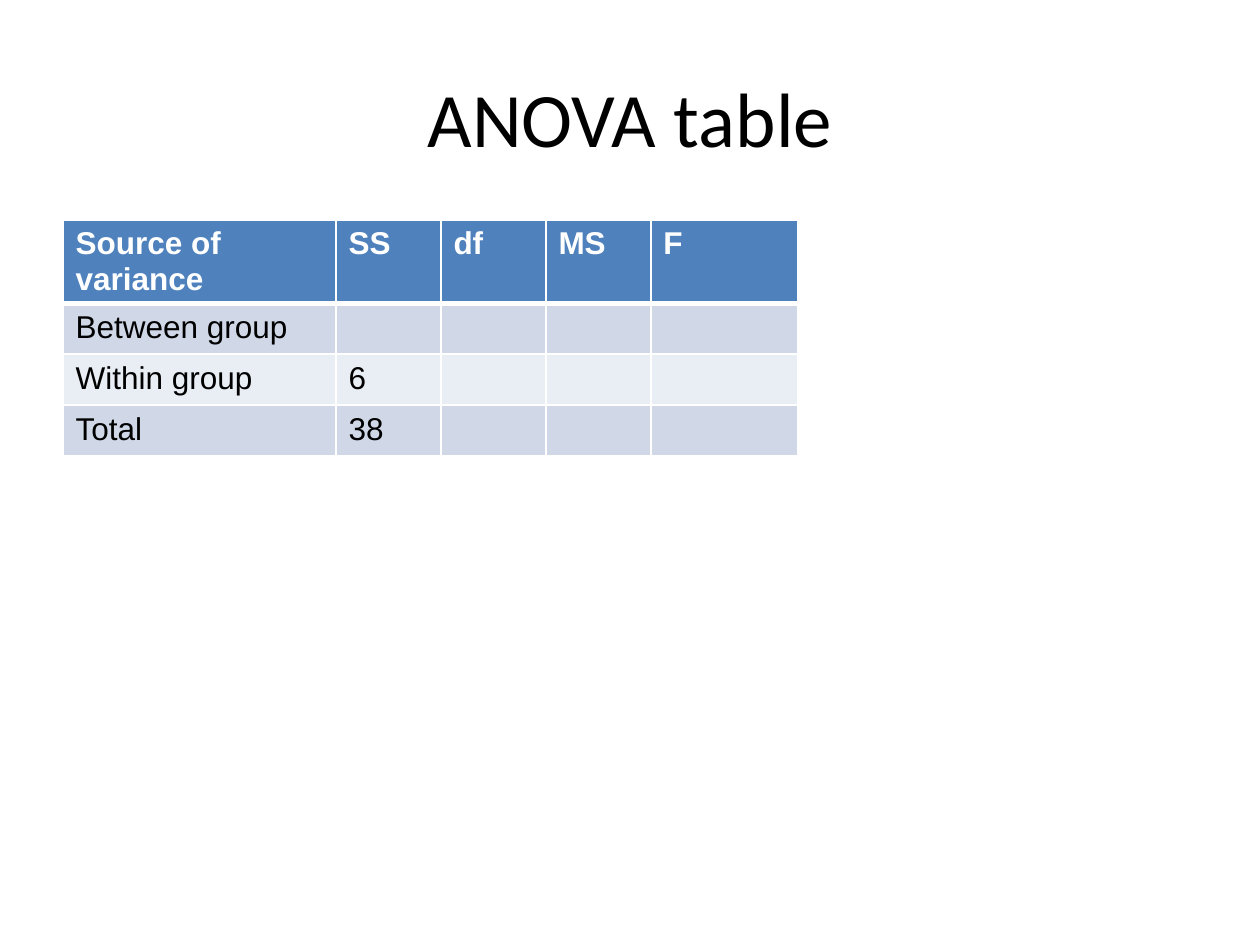
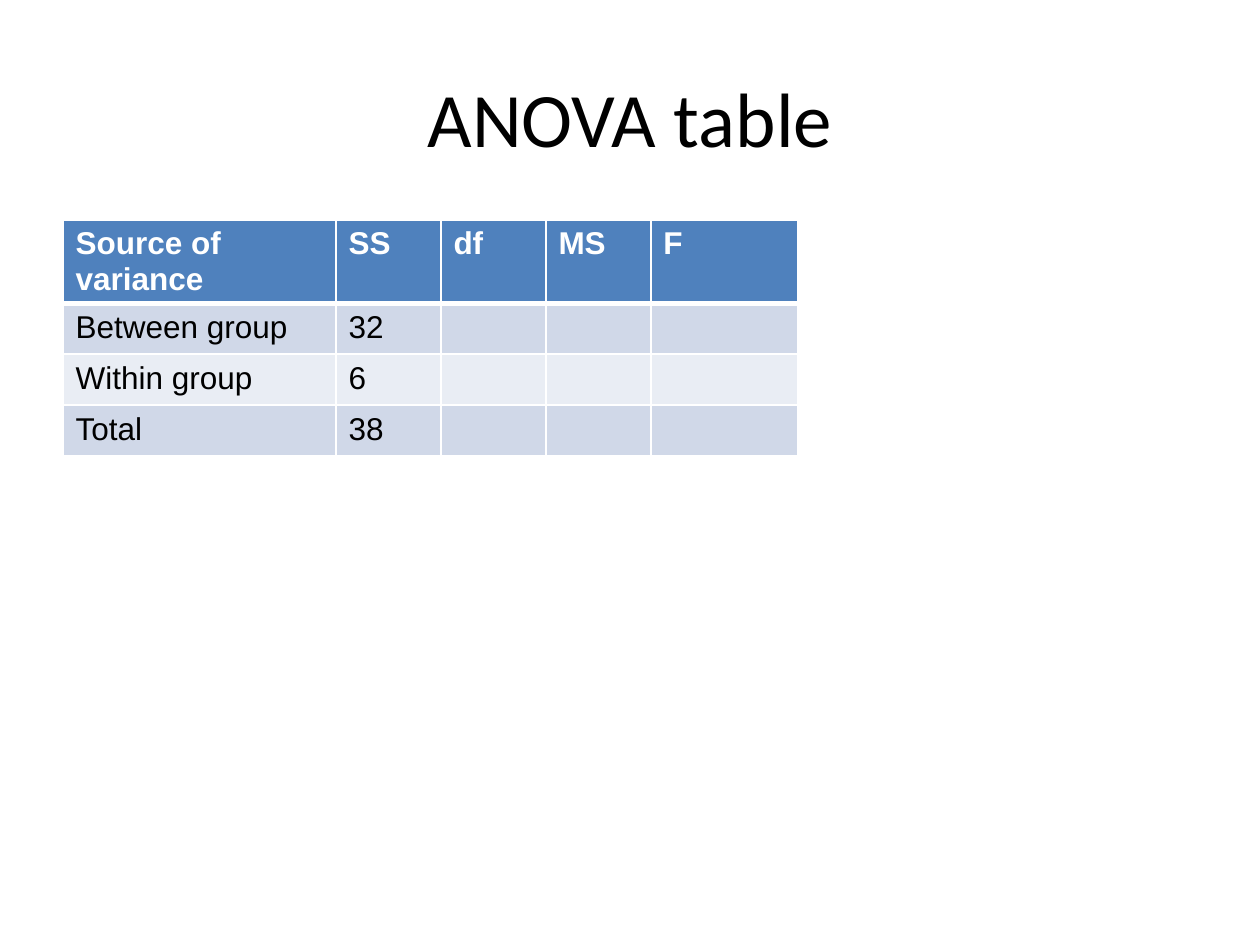
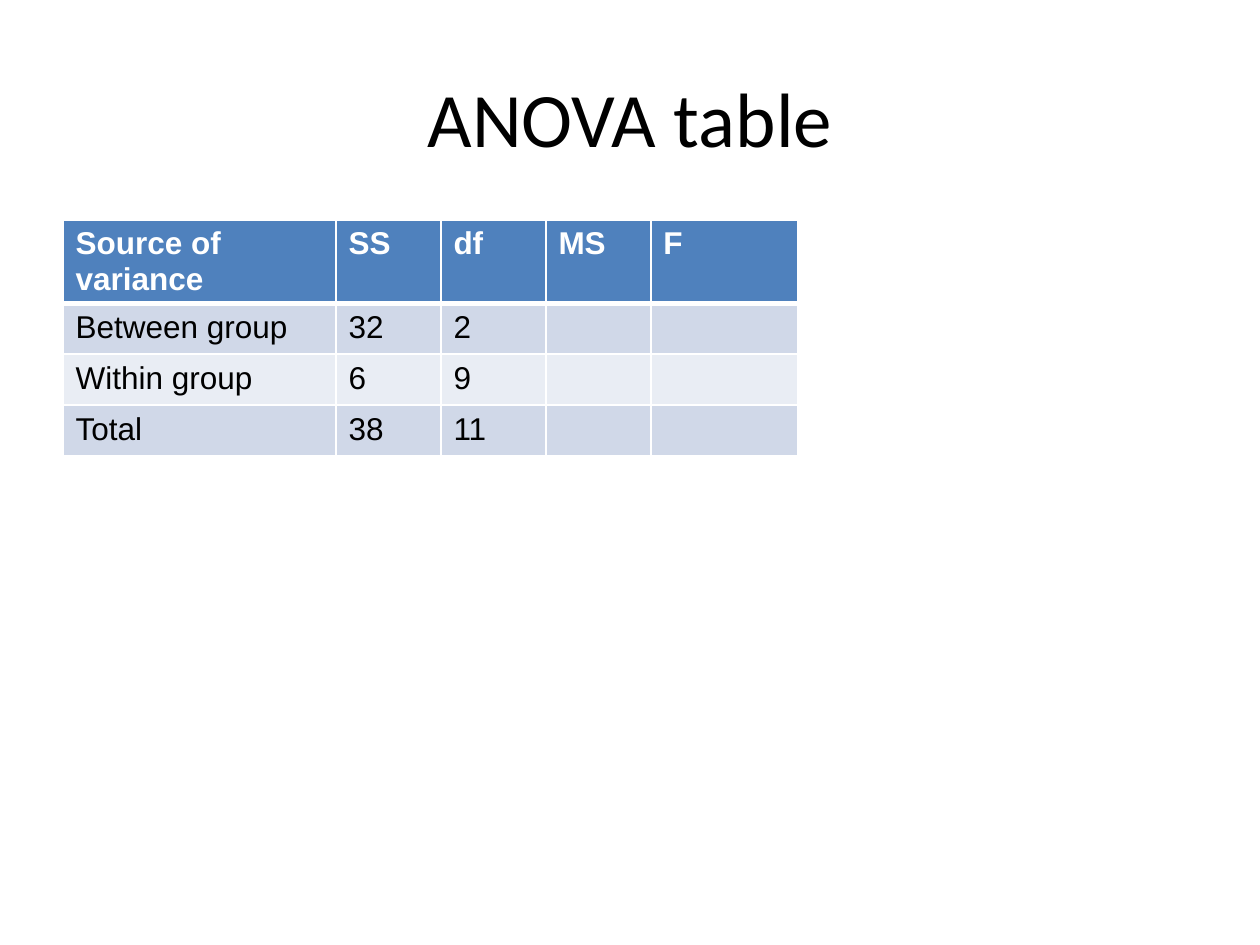
"""Build three slides that fill in an ANOVA table step by step."""
from lxml.etree import SubElement
from pptx import Presentation
from pptx.dml.color import RGBColor
from pptx.enum.text import MSO_ANCHOR, PP_ALIGN
from pptx.oxml.ns import qn
from pptx.util import Emu, Pt

TITLE = "ANOVA table"
HEADINGS = ("Source of variance", "SS", "df", "MS", "F")
SOURCES = ("Between group", "Within group", "Total")
STEPS = (
    {"SS": ("", "6", "38")},
    {"SS": ("32", "6", "38")},
    {"SS": ("32", "6", "38"), "df": ("2", "9", "11")},
)

PX = 914400 // 126
SLIDE_SIZE = (1260, 945)
TITLE_BOX = (63, 38, 1134, 157)
TABLE_LEFT, TABLE_TOP = 63, 220
COLUMN_WIDTHS = (273, 105, 105, 105, 147)
ROW_HEIGHT = 51

BLACK = RGBColor(0x00, 0x00, 0x00)
WHITE = RGBColor(0xFF, 0xFF, 0xFF)
HEADER_BLUE = RGBColor(0x4F, 0x81, 0xBD)
BANDS = (RGBColor(0xD0, 0xD8, 0xE8), RGBColor(0xE9, 0xED, 0xF4))


def px(length):
    return Emu(length * PX)


def style_font(font, family, size, color, bold=False):
    font.name, font.size, font.bold = family, Pt(size), bold
    font.color.rgb = color


def add_borders(cell, row):
    widths = {"lnL": 1, "lnR": 1, "lnT": 3 if row == 1 else 1, "lnB": 3 if row == 0 else 1}
    properties = cell._tc.get_or_add_tcPr()
    for side, width in widths.items():
        border = SubElement(properties, qn(f"a:{side}"), w=str(Pt(width)))
        fill = SubElement(border, qn("a:solidFill"))
        SubElement(fill, qn("a:srgbClr"), val=str(WHITE))


def add_title(slide):
    title = slide.shapes.title
    title.left, title.top, title.width, title.height = map(px, TITLE_BOX)
    title.text_frame.text = TITLE
    title.text_frame.vertical_anchor = MSO_ANCHOR.MIDDLE
    paragraph = title.text_frame.paragraphs[0]
    paragraph.alignment = PP_ALIGN.CENTER
    style_font(paragraph.font, "Calibri", 44, BLACK)


def add_anova_table(slide, known):
    blanks = ("",) * len(SOURCES)
    columns = [SOURCES] + [known.get(heading, blanks) for heading in HEADINGS[1:]]
    rows = [HEADINGS, *zip(*columns)]
    table = slide.shapes.add_table(
        len(rows), len(HEADINGS), px(TABLE_LEFT), px(TABLE_TOP),
        px(sum(COLUMN_WIDTHS)), px(ROW_HEIGHT * len(rows))).table
    for column, width in zip(table.columns, COLUMN_WIDTHS):
        column.width = px(width)
    for r, values in enumerate(rows):
        header = r == 0
        for c, value in enumerate(values):
            cell = table.cell(r, c)
            cell.text = value
            style_font(cell.text_frame.paragraphs[0].font, "Arial", 18,
                       WHITE if header else BLACK, header)
            add_borders(cell, r)
            cell.fill.solid()
            cell.fill.fore_color.rgb = HEADER_BLUE if header else BANDS[(r - 1) % 2]


def main():
    deck = Presentation()
    deck.slide_width, deck.slide_height = map(px, SLIDE_SIZE)
    title_only = deck.slide_layouts[5]
    for known in STEPS:
        slide = deck.slides.add_slide(title_only)
        add_title(slide)
        add_anova_table(slide, known)
    deck.save("out.pptx")


if __name__ == "__main__":
    main()
